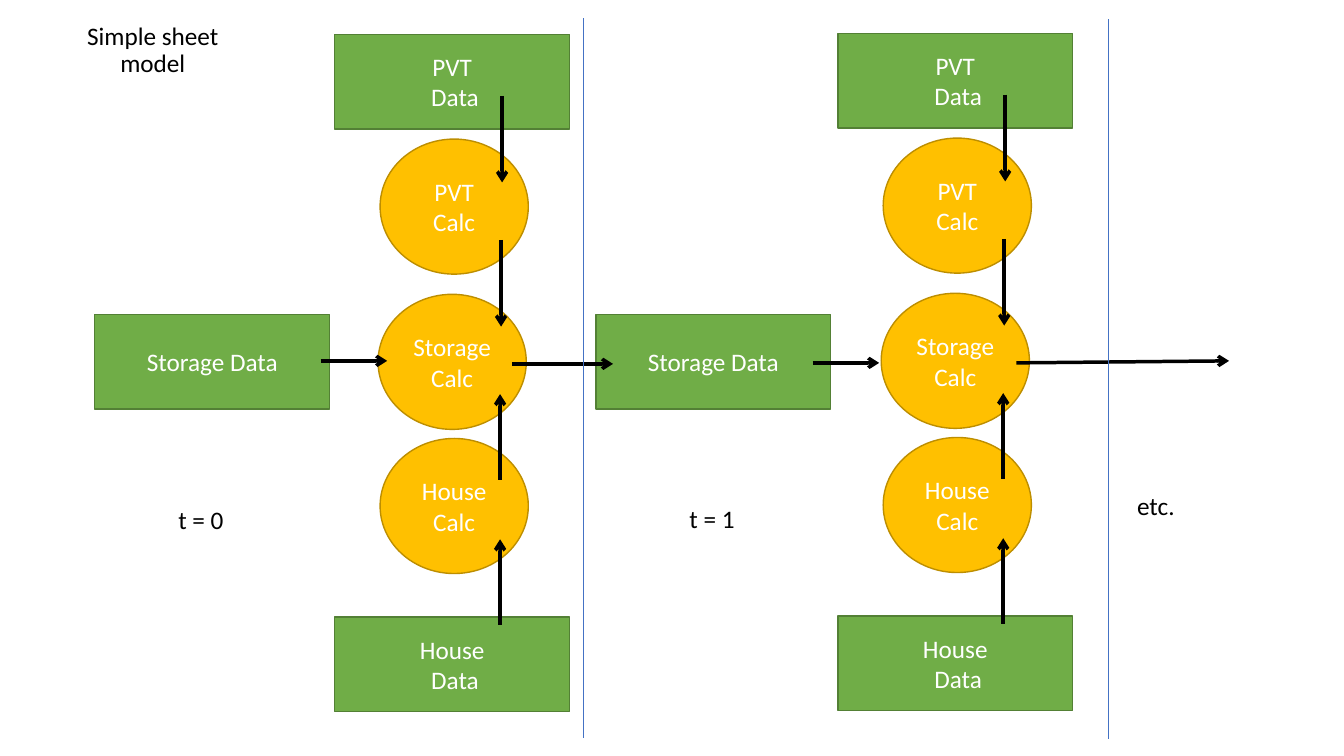
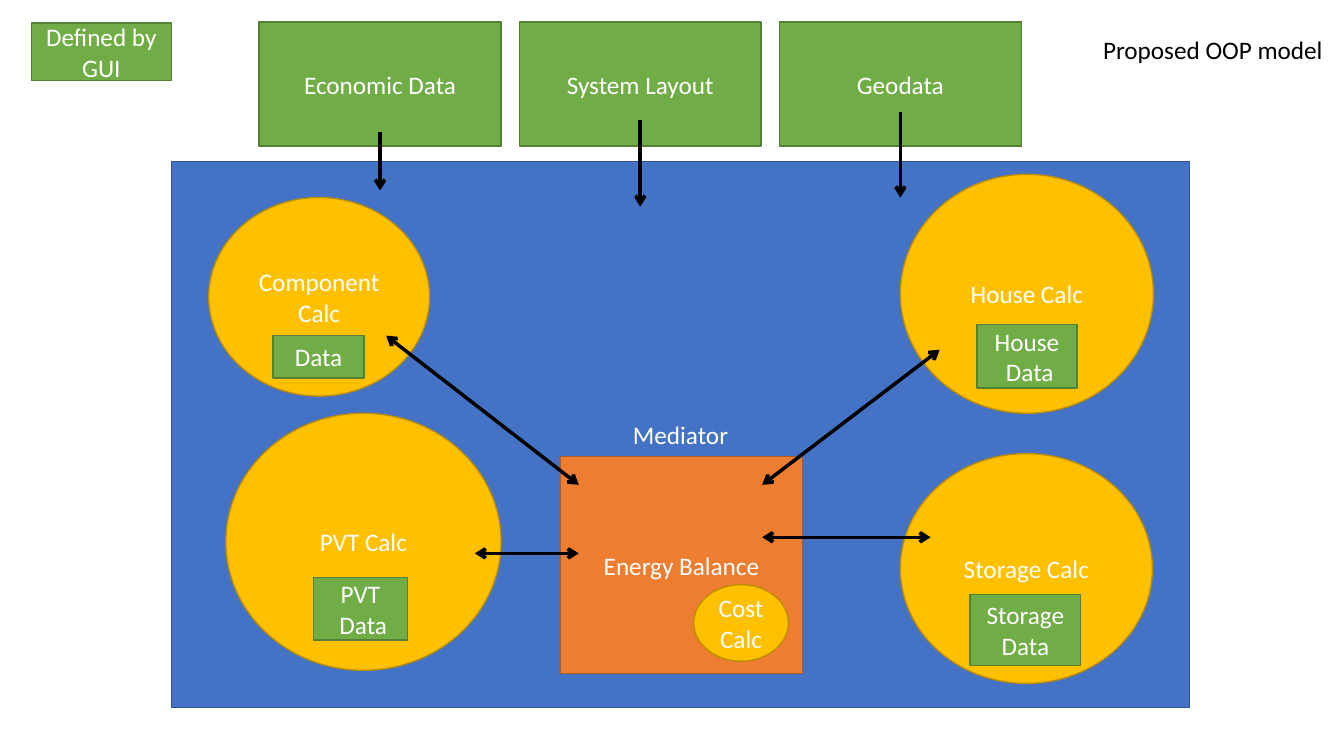
from lxml import etree
from pptx import Presentation
from pptx.dml.color import RGBColor
from pptx.enum.shapes import MSO_CONNECTOR, MSO_SHAPE
from pptx.enum.text import MSO_ANCHOR, MSO_AUTO_SIZE, PP_ALIGN
from pptx.oxml.ns import qn
from pptx.util import Inches, Pt

COLORS = {
    "data": "70AD47", "data_line": "538035",
    "calc": "FFC000", "calc_line": "BD8E00",
    "mediator": "4472C4", "mediator_line": "325491",
    "balance": "ED7D31", "balance_line": "AF5C24",
    "light": "FFFFFF", "dark": "000000", "divider": "4472C4",
}
FONT = {"name": "Calibri", "size": Pt(18)}
SHAPE_FRAME = {"word_wrap": True, "vertical_anchor": MSO_ANCHOR.MIDDLE}
LABEL_FRAME = {"word_wrap": False, "auto_size": MSO_AUTO_SIZE.SHAPE_TO_FIT_TEXT}
TITLE_FRAME = {"word_wrap": False, "vertical_anchor": MSO_ANCHOR.BOTTOM}
SHAPE_PARA = {"alignment": PP_ALIGN.CENTER}
TITLE_PARA = {"alignment": PP_ALIGN.CENTER, "line_spacing": 0.9}


def color(name):
    return RGBColor.from_string(COLORS[name])


def apply_format(obj, values):
    for name, value in values.items():
        setattr(obj, name, value)


def write_text(sp, text, ink, frame, para):
    tf = sp.text_frame
    apply_format(tf, frame)
    for i, line in enumerate(text.split("\n")):
        p = tf.add_paragraph() if i else tf.paragraphs[0]
        apply_format(p, para)
        r = p.add_run()
        r.text = line
        apply_format(r.font, FONT)
        r.font.color.rgb = color(ink)


def add_block(s, kind, text, box, preset=MSO_SHAPE.RECTANGLE):
    sp = s.shapes.add_shape(preset, *map(Inches, box))
    sp.shadow.inherit = False
    sp.fill.solid()
    sp.fill.fore_color.rgb = color(kind)
    sp.line.color.rgb = color(kind + "_line")
    sp.line.width = Pt(1)
    write_text(sp, text, "light", SHAPE_FRAME, SHAPE_PARA)


def add_data(s, text, *box):
    add_block(s, "data", text, box)


def add_calc(s, text, *box):
    add_block(s, "calc", text, box, MSO_SHAPE.OVAL)


def add_label(s, text, *box):
    sp = s.shapes.add_textbox(*map(Inches, box))
    write_text(sp, text, "dark", LABEL_FRAME, {})


def add_title(s, text, *box):
    sp = s.shapes.add_textbox(*map(Inches, box))
    write_text(sp, text, "dark", TITLE_FRAME, TITLE_PARA)


def add_line(s, ends, ink, width):
    cxn = s.shapes.add_connector(MSO_CONNECTOR.STRAIGHT, *map(Inches, ends))
    cxn.line.color.rgb = color(ink)
    cxn.line.width = Pt(width)
    etree.SubElement(cxn.element.spPr, qn("a:effectLst"))
    return cxn


def add_arrow(s, *ends, both=False):
    ln = add_line(s, ends, "dark", 2.5).line._get_or_add_ln()
    for tag in ("a:headEnd", "a:tailEnd") if both else ("a:tailEnd",):
        etree.SubElement(ln, qn(tag), type="arrow")


def add_time_step(s, x, y):
    for name, top in (("PVT", 0.34), ("House", 6.12)):
        add_data(s, f"{name}\n Data", x, y + top, 2.33, 0.94)
    for name, dx, top in (("PVT", 0.45, 1.38), ("Storage", 0.43, 2.92), ("House", 0.45, 4.35)):
        add_calc(s, f"{name} Calc", x + dx, y + top, 1.47, 1.34)
    for dx, start, end in ((1.66, 0.95, 1.81), (1.65, 2.38, 3.24),
                           (1.64, 6.2, 5.35), (1.64, 4.76, 3.91)):
        add_arrow(s, x + dx, y + start, x + dx, y + end)


def build_sheet_model(s):
    for left in (0.94, 5.91):
        add_data(s, "Storage Data", left, 3.12, 2.33, 0.94)
    for x, y in ((3.32, 0), (8.31, -0.01)):
        add_time_step(s, x, y)
    for ends in ((3.18, 3.58, 3.84, 3.58), (5.08, 3.61, 6.08, 3.61),
                 (8.06, 3.6, 8.72, 3.6), (10.08, 3.6, 12.19, 3.58)):
        add_arrow(s, *ends)
    for x, top in ((5.79, 0.18), (10.99, 0.19)):
        add_line(s, (x, top, x, top + 7.14), "divider", 0.5)
    for text, left, top in (("t = 0", 1.67, 4.95), ("t = 1", 6.74, 4.94), ("etc.", 11.18, 4.82)):
        add_label(s, text, left, top, 0.67, 0.4)
    add_title(s, "Simple sheet model", 0.42, 0.35, 2.19, 0.47)


def build_oop_model(s):
    add_data(s, "Defined by GUI", 0.31, 0.23, 1.39, 0.57)
    add_block(s, "mediator", "Mediator", (1.7, 1.6, 10.1, 5.42))
    inputs = (("Economic Data", 1.31, 1.89), ("System Layout", 1.19, 2.05), ("Geodata", 1.11, 1.96))
    for i, (text, start, end) in enumerate(inputs):
        left = 2.57 + 2.58 * i
        add_data(s, text, left, 0.22, 2.4, 1.23)
        add_arrow(s, left + 1.2, start, left + 1.2, end)
    modules = (
        ("Component Calc", (2.07, 1.96, 2.19, 1.97), "Data", (2.71, 3.33, 0.9, 0.42)),
        ("PVT Calc", (2.24, 4.1, 2.73, 2.55), "PVT\n Data", (3.11, 5.73, 0.93, 0.62)),
        ("House Calc", (8.93, 1.73, 2.51, 2.37), "House\n Data", (9.69, 3.22, 0.99, 0.63)),
        ("Storage Calc", (8.93, 4.5, 2.5, 2.28), "Storage Data", (9.62, 5.9, 1.1, 0.7)),
    )
    for calc, calc_box, data, data_box in modules:
        add_calc(s, calc, *calc_box)
        add_data(s, data, *data_box)
    add_block(s, "balance", "Energy Balance", (5.56, 4.53, 2.4, 2.15))
    add_calc(s, "Cost Calc", 6.88, 5.8, 0.94, 0.76)
    for ends in ((3.83, 3.33, 5.74, 4.81), (4.71, 5.49, 5.74, 5.49),
                 (9.32, 3.47, 7.56, 4.81), (7.56, 5.33, 9.23, 5.33)):
        add_arrow(s, *ends, both=True)
    add_title(s, "Proposed OOP model", 10.83, 0, 2.4, 0.69)


def main():
    prs = Presentation()
    apply_format(prs, {"slide_width": Inches(13.33), "slide_height": Inches(7.5)})
    for build in (build_sheet_model, build_oop_model):
        build(prs.slides.add_slide(prs.slide_layouts[6]))
    prs.save("out.pptx")


if __name__ == "__main__":
    main()
